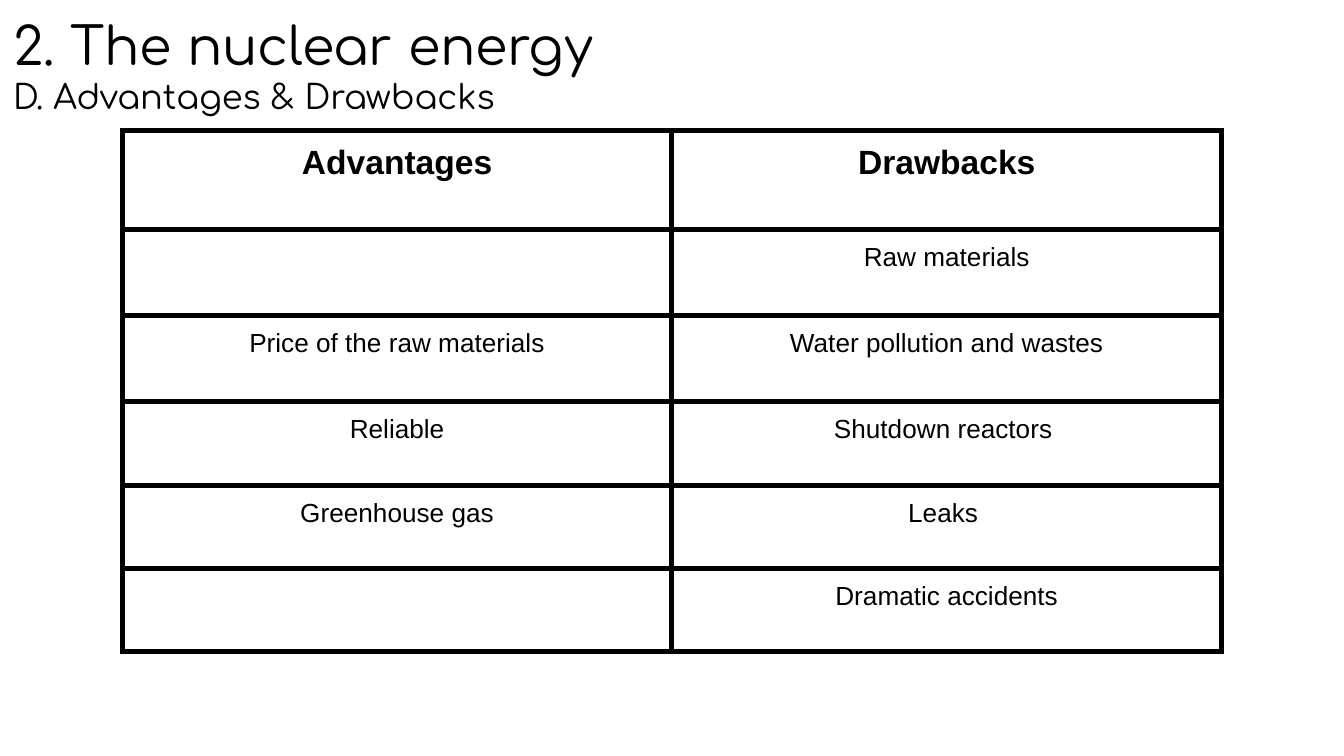
from lxml import etree
from pptx import Presentation
from pptx.dml.color import RGBColor
from pptx.enum.text import MSO_ANCHOR, PP_ALIGN
from pptx.oxml.ns import qn
from pptx.util import Inches, Pt

LEFT, CENTER = PP_ALIGN.LEFT, PP_ALIGN.CENTER
TOP, MIDDLE = MSO_ANCHOR.TOP, MSO_ANCHOR.MIDDLE
COLORS = {"ink": "000000", "paper": "FFFFFF"}
WIDTH = 10
HEIGHT = WIDTH * 9 / 16
UNIT = 0.1
INSET = Inches(0.1)
ROW_HEIGHTS = [7.4, 6.4, 6.4, 6.2, 6.2, 6.2]
ROWS = [
    ("Advantages", "Drawbacks"),
    ("", "Raw materials"),
    ("Price of the raw materials", "Water pollution and wastes"),
    ("Reliable", "Shutdown reactors "),
    ("Greenhouse gas", "Leaks "),
    ("", "Dramatic accidents"),
]


def grid(n):
    return Inches(n * UNIT)


def write(p, text, size=14, font="Arial", color="ink", bold=False, align=LEFT):
    p.alignment = align
    p.font.size = Pt(size)
    if not text:
        return
    r = p.add_run()
    r.text = text
    r.font.size = Pt(size)
    r.font.name = font
    r.font.bold = bold
    r.font.color.rgb = RGBColor.from_string(COLORS[color])


class SlideBuilder:
    def __init__(self, prs):
        self.slide = prs.slides.add_slide(prs.slide_layouts[6])
        fill = self.slide.background.fill
        fill.solid()
        fill.fore_color.rgb = RGBColor.from_string(COLORS["paper"])

    def heading(self, box, lines):
        sp = self.slide.shapes.add_textbox(*map(grid, box))
        tf = sp.text_frame
        tf.word_wrap = True
        tf.vertical_anchor = MIDDLE
        tf.margin_left = tf.margin_right = tf.margin_top = tf.margin_bottom = INSET
        for i, (text, size) in enumerate(lines):
            p = tf.add_paragraph() if i else tf.paragraphs[0]
            write(p, text, size=size, font="Comfortaa")

    def border(self, cell, color="ink", width=3):
        tc_pr = cell._tc.get_or_add_tcPr()
        for i, side in enumerate("LRTB"):
            ln = etree.Element(qn(f"a:ln{side}"), w=str(Pt(width)))
            fill = etree.SubElement(ln, qn("a:solidFill"))
            etree.SubElement(fill, qn("a:srgbClr"), val=COLORS[color])
            tc_pr.insert(i, ln)

    def table(self, box, rows, heights):
        cols = len(rows[0])
        table = self.slide.shapes.add_table(len(rows), cols, *map(grid, box)).table
        table.first_row = table.horz_banding = False
        for col in table.columns:
            col.width = grid(box[2] / cols)
        for i, (texts, height) in enumerate(zip(rows, heights)):
            table.rows[i].height = grid(height)
            for j, text in enumerate(texts):
                cell = table.cell(i, j)
                cell.fill.background()
                cell.vertical_anchor = TOP
                cell.margin_left = cell.margin_right = INSET
                cell.margin_top = cell.margin_bottom = INSET
                self.border(cell)
                write(cell.text_frame.paragraphs[0], text, align=CENTER,
                      size=14 if i else 18, bold=i == 0)


def main():
    prs = Presentation()
    prs.slide_width, prs.slide_height = Inches(WIDTH), Inches(HEIGHT)
    s = SlideBuilder(prs)
    s.table((9.1, 9.7, 81.8, sum(ROW_HEIGHTS)), ROWS, ROW_HEIGHTS)
    s.heading((0, 0, 70.1, 9.7),
              [("2. The nuclear energy", 28), ("D. Advantages & Drawbacks", 18)])
    prs.save("out.pptx")


if __name__ == "__main__":
    main()
